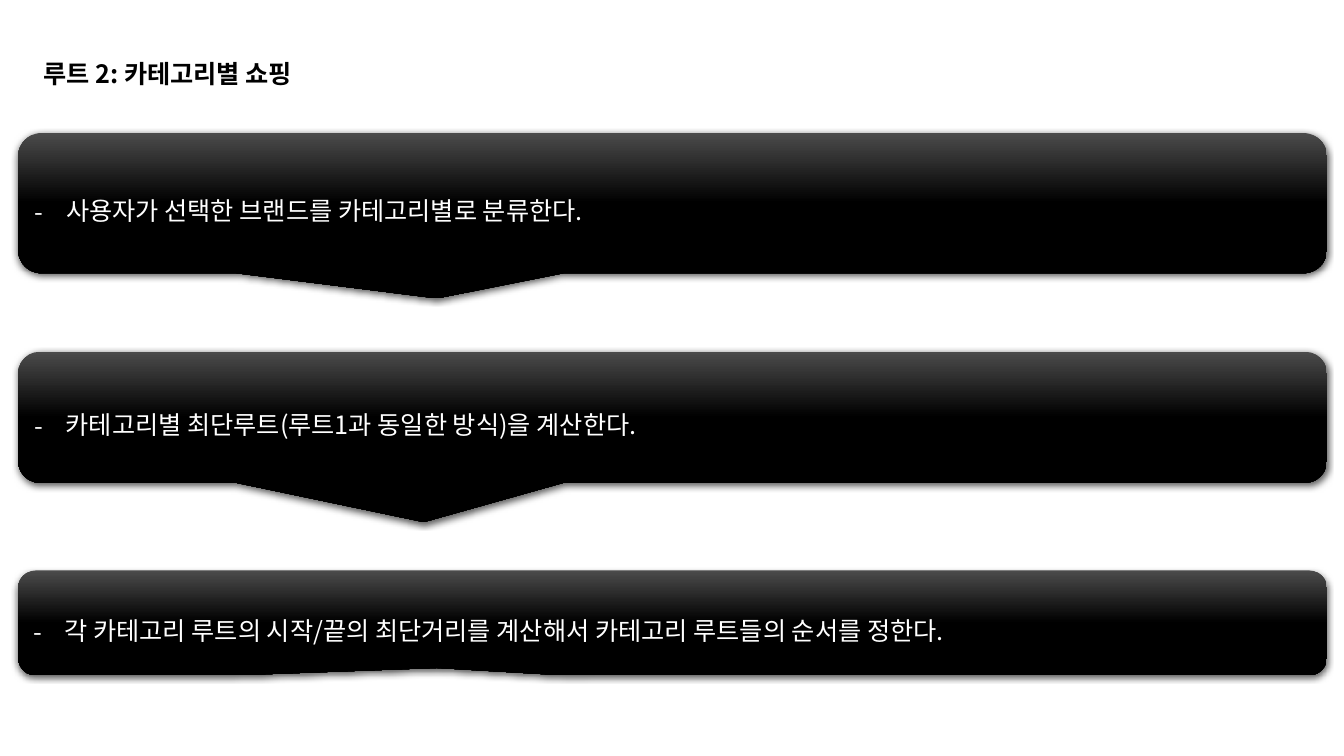
from lxml import etree
from pptx import Presentation
from pptx.dml.color import RGBColor
from pptx.enum.shapes import MSO_SHAPE as Shape
from pptx.enum.text import MSO_ANCHOR as Anchor, PP_ALIGN as Align
from pptx.oxml import parse_xml
from pptx.oxml.ns import qn
from pptx.util import Inches, Pt

WIDTH, HEIGHT = 13.33, 7.5
FONT = "Noto Sans CJK KR"
COLORS = {"title": "000000", "text": "FFFFFF", "sheen": "4B4B4B",
          "body": "000000", "shadow": "000000"}
DRAWING = 'xmlns:a="http://schemas.openxmlformats.org/drawingml/2006/main"'

TITLE = "루트 2: 카테고리별 쇼핑"
TITLE_BOX = (0.33, 0.53, 5.59, 0.4)
STEP_LEFT, STEP_WIDTH = 0.18, 12.98
FIRST_TOP, STEP_PITCH = 1.32, 2.17
# Text, height, pointer tip as shares of the box measured from its centre
STEPS = [
    ("사용자가 선택한 브랜드를 카테고리별로 분류한다.", 1.39, (-0.18, 0.68)),
    ("카테고리별 최단루트(루트1과 동일한 방식)을 계산한다.", 1.3, (-0.19, 0.8)),
    ("각 카테고리 루트의 시작/끝의 최단거리를 계산해서 카테고리 루트들의 순서를 정한다.",
     1.04, (-0.18, 0.43)),
]


def write_text(frame, text, color, size=18, bold=False, anchor=Anchor.TOP,
               spacing=1.0, bullet=None, indent=0.31):
    frame.word_wrap = True
    frame.vertical_anchor = anchor
    para = frame.paragraphs[0]
    para.alignment = Align.LEFT
    para.line_spacing = spacing
    if bullet:
        props = para._p.get_or_add_pPr()
        props.set("marL", str(Inches(indent)))
        props.set("indent", str(-Inches(indent)))
        etree.SubElement(props, qn("a:buFont"), typeface=FONT)
        etree.SubElement(props, qn("a:buChar"), char=bullet)
    span = para.add_run()
    span.text = text
    span.font.size = Pt(size)
    span.font.bold = bold
    span.font.name = FONT
    span.font.color.rgb = RGBColor.from_string(COLORS[color])
    etree.SubElement(span.font._element, qn("a:ea"), typeface=FONT)


def fill_gradient(shape):
    shape.fill.gradient()
    gradient = shape._element.spPr.find(qn("a:gradFill"))
    stops = [(0, "sheen"), (50, "body"), (100, "body")]
    marks = "".join(f'<a:gs pos="{share * 1000}"><a:srgbClr val="{COLORS[name]}"/></a:gs>'
                    for share, name in stops)
    gradient.getparent().replace(gradient, parse_xml(
        f'<a:gradFill {DRAWING} rotWithShape="1"><a:gsLst>{marks}</a:gsLst>'
        '<a:lin ang="5400000" scaled="0"/></a:gradFill>'))


def cast_shadow(shape, blur=4.5, distance=1.5, opacity=63):
    shape.shadow.inherit = False
    effects = shape._element.spPr.find(qn("a:effectLst"))
    effects.append(parse_xml(
        f'<a:outerShdw {DRAWING} blurRad="{Pt(blur)}" dist="{Pt(distance)}" '
        f'dir="5400000" rotWithShape="0"><a:srgbClr val="{COLORS["shadow"]}">'
        f'<a:alpha val="{opacity * 1000}"/></a:srgbClr></a:outerShdw>'))


def add_title(page, box, text):
    title = page.shapes.add_textbox(*map(Inches, box))
    write_text(title.text_frame, text, "title", bold=True)


def add_step(page, box, text, tip):
    step = page.shapes.add_shape(Shape.ROUNDED_RECTANGULAR_CALLOUT, *map(Inches, box))
    for index, value in enumerate((*tip, 0.167)):
        step.adjustments[index] = value
    fill_gradient(step)
    step.line.fill.background()
    cast_shadow(step)
    write_text(step.text_frame, text, "text", anchor=Anchor.MIDDLE,
               spacing=1.5, bullet="-")


def main():
    deck = Presentation()
    deck.slide_width, deck.slide_height = Inches(WIDTH), Inches(HEIGHT)
    page = deck.slides.add_slide(deck.slide_layouts[6])

    # Heading
    add_title(page, TITLE_BOX, TITLE)

    # Steps, at an equal pitch down the page
    for row, (text, height, tip) in enumerate(STEPS):
        top = FIRST_TOP + row * STEP_PITCH
        add_step(page, (STEP_LEFT, top, STEP_WIDTH, height), text, tip)

    deck.save("out.pptx")


if __name__ == "__main__":
    main()
